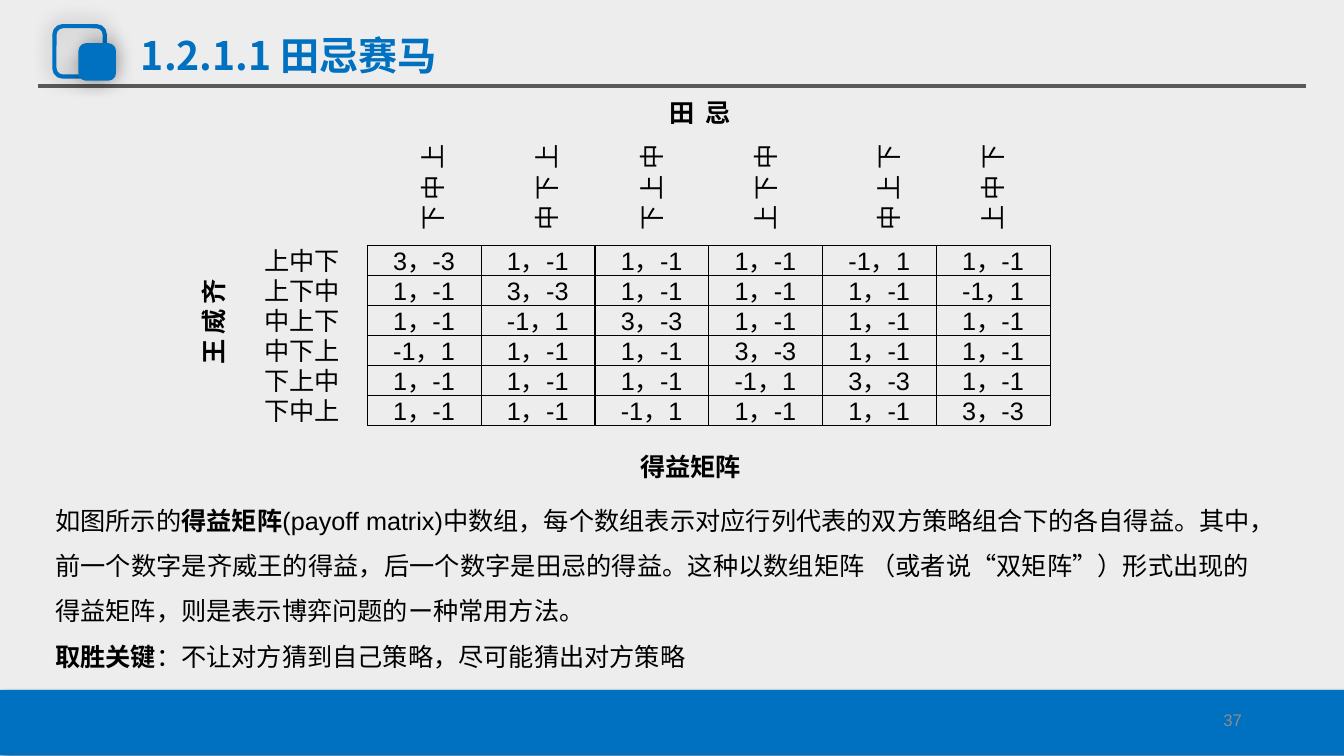
from dataclasses import dataclass
from typing import Optional

from lxml import etree
from pptx import Presentation
from pptx.dml.color import RGBColor
from pptx.enum.shapes import MSO_CONNECTOR, MSO_SHAPE
from pptx.enum.text import MSO_ANCHOR, MSO_AUTO_SIZE, PP_ALIGN
from pptx.oxml.ns import qn
from pptx.util import Inches, Pt

RECT, ROUND = MSO_SHAPE.RECTANGLE, MSO_SHAPE.ROUNDED_RECTANGLE
STRAIGHT = MSO_CONNECTOR.STRAIGHT
TOP, MIDDLE = MSO_ANCHOR.TOP, MSO_ANCHOR.MIDDLE
LEFT, CENTER, RIGHT, JUSTIFY = PP_ALIGN.LEFT, PP_ALIGN.CENTER, PP_ALIGN.RIGHT, PP_ALIGN.JUSTIFY
FIT_SHAPE = MSO_AUTO_SIZE.SHAPE_TO_FIT_TEXT

BLUE = RGBColor(0x00, 0x70, 0xC0)
BLACK = RGBColor(0x00, 0x00, 0x00)
PALE = RGBColor(0xD9, 0xD9, 0xD9)
RULE = RGBColor(0x59, 0x59, 0x59)
MUTED = RGBColor(0x8C, 0x8C, 0x8C)
LATIN, CJK = "Arial", "Noto Sans CJK SC"

COL = ROW = Inches(0.1)
COLS, ROWS = 133.33, 75
CELL_W, CELL_H = 11.29, 2.98
MATRIX_X, MATRIX_Y = 36.42, 24.3


@dataclass
class Box:
    x: float
    y: float
    w: float
    h: float

    def emu(self) -> tuple[int, int, int, int]:
        return int(self.x * COL), int(self.y * ROW), int(self.w * COL), int(self.h * ROW)


@dataclass
class Shadow:
    blur: float
    dist: float
    angle: int


@dataclass
class Panel:
    box: Box
    kind: int
    fill: Optional[RGBColor] = None
    line: Optional[RGBColor] = None
    width: float = 3
    alpha: int = 100
    shadow: Optional[Shadow] = None


@dataclass
class Run:
    text: str
    bold: bool = False


@dataclass
class Para:
    runs: list[Run]
    align: int = CENTER
    spacing: Optional[float] = None


@dataclass
class Label:
    box: Box
    paras: list[Para]
    size: int = 18
    color: RGBColor = BLACK
    font: str = LATIN
    wrap: bool = False
    anchor: int = MIDDLE
    turned: bool = False


@dataclass
class Strategy:
    name: str
    header_x: float
    losing_column: int


GLOW = Shadow(15, 0, 0)
PANELS = [
    Panel(Box(0, 0, COLS, ROWS), RECT, PALE, alpha=46),
    Panel(Box(5.4, 2.6, 5, 5), ROUND, line=BLUE, shadow=GLOW),
    Panel(Box(8, 4.5, 3.3, 3.3), ROUND, BLUE, BLUE, shadow=GLOW),
    Panel(Box(0, 68.45, COLS, 6.5), RECT, BLUE, shadow=Shadow(4, 3, 45)),
]
STRATEGIES = [
    Strategy("上中下", 37.6, 4),
    Strategy("上下中", 48.9, 5),
    Strategy("中上下", 59.3, 1),
    Strategy("中下上", 70.6, 0),
    Strategy("下上中", 82.8, 3),
    Strategy("下中上", 93.2, 2),
]
BODY = [
    Para([
        Run("如图所示的"),
        Run("得益矩阵", True),
        Run("(payoff matrix)中数组，每个数组表示对应行列代表的双方策略组合下的各自得益。"
            "其中，前一个数字是齐威王的得益，后一个数字是田忌的得益。"
            "这种以数组矩阵 （或者说“双矩阵”）形式出现的得益矩阵，则是表示博弈问题的ー种常用方法。"),
    ], JUSTIFY, 1.5),
    Para([Run("取胜关键", True), Run("：不让对方猜到自己策略，尽可能猜出对方策略")], LEFT, 1.5),
]


def stacked(text: str, bold: bool = False) -> list[Para]:
    return [Para([Run(char, bold)]) for char in text]


LABELS = [
    Label(Box(94.2, 69.4, 30, 4), [Para([Run("37")], RIGHT)], 12, MUTED, wrap=True),
    Label(Box(57.3, 9.35, 24.3, 3.7), [Para([Run("田  忌", True)])]),
    Label(Box(10.6, 29.9, 21, 4.3), stacked("齐威王", True), turned=True),
    Label(Box(53.75, 44.4, 29.5, 3.7), [Para([Run("得益矩阵", True)])]),
    Label(Box(4.5, 48.1, 120.5, 19.2), BODY, wrap=True, anchor=TOP),
    Label(Box(13, 3.2, 51.8, 5), [Para([Run("1.2.1.1 田忌赛马", True)], LEFT, 0.9)],
          28, BLUE, CJK, True),
]
for i, strategy in enumerate(STRATEGIES):
    LABELS.append(Label(Box(24.3, MATRIX_Y + i * CELL_H, CELL_W, CELL_H),
                        [Para([Run(strategy.name)])]))
    LABELS.append(Label(Box(strategy.header_x, 16.95, 9.7, 3.5), stacked(strategy.name),
                        turned=True))


def add_shadow(sp, shadow: Shadow) -> None:
    effects = sp._element.spPr.find(qn("a:effectLst"))
    outer = etree.SubElement(effects, qn("a:outerShdw"), blurRad=str(Pt(shadow.blur)),
                             dist=str(Pt(shadow.dist)), dir=str(shadow.angle * 60000))
    color = etree.SubElement(outer, qn("a:srgbClr"), val=str(BLACK))
    etree.SubElement(color, qn("a:alpha"), val="40000")


def add_panel(s, panel: Panel):
    sp = s.shapes.add_shape(panel.kind, *panel.box.emu())
    sp.shadow.inherit = False
    if panel.fill is None:
        sp.fill.background()
    else:
        sp.fill.solid()
        sp.fill.fore_color.rgb = panel.fill
        if panel.alpha < 100:
            color = sp._element.spPr.find(qn("a:solidFill"))[0]
            etree.SubElement(color, qn("a:alpha"), val=str(panel.alpha * 1000))
    if panel.line is None:
        sp.line.fill.background()
    else:
        sp.line.color.rgb = panel.line
        sp.line.width = Pt(panel.width)
    if panel.shadow:
        add_shadow(sp, panel.shadow)
    return sp


def add_run(p, run: Run, size: int, color: RGBColor, font: str) -> None:
    r = p.add_run()
    r.text = run.text
    r.font.size, r.font.bold, r.font.name = Pt(size), run.bold, font
    r.font.color.rgb = color
    etree.SubElement(r._r.get_or_add_rPr(), qn("a:ea"), typeface=CJK)


def write_label(sp, label: Label) -> None:
    tf = sp.text_frame
    tf.word_wrap, tf.vertical_anchor = label.wrap, label.anchor
    if label.anchor == TOP:
        tf.auto_size = FIT_SHAPE
    if label.turned:
        sp.rotation = 90
        body = tf._txBody.bodyPr
        body.set("vert", "eaVert")
        body.set("rot", str(180 * 60000))
    for i, para in enumerate(label.paras):
        p = tf.add_paragraph() if i else tf.paragraphs[0]
        p.alignment, p.line_spacing = para.align, para.spacing
        for run in para.runs:
            add_run(p, run, label.size, label.color, label.font)


def add_matrix(s) -> None:
    for i, strategy in enumerate(STRATEGIES):
        for j in range(len(STRATEGIES)):
            box = Box(MATRIX_X + j * CELL_W, MATRIX_Y + i * CELL_H, CELL_W, CELL_H)
            payoff = "3，-3" if i == j else "-1，1" if j == strategy.losing_column else "1，-1"
            sp = add_panel(s, Panel(box, RECT, line=BLACK, width=0.25))
            write_label(sp, Label(box, [Para([Run(payoff)])]))


def add_rule(s) -> None:
    x, y, w, h = Box(3.75, 8.55, 125.85, 0).emu()
    line = s.shapes.add_connector(STRAIGHT, x, y, x + w, y + h)
    line.line.color.rgb, line.line.width = RULE, Pt(3)
    etree.SubElement(line._element.spPr, qn("a:effectLst"))


def main() -> None:
    prs = Presentation()
    prs.slide_width, prs.slide_height = int(COLS * COL), ROWS * ROW
    s = prs.slides.add_slide(prs.slide_layouts[6])
    add_panel(s, PANELS[0])
    add_rule(s)
    for panel in PANELS[1:]:
        add_panel(s, panel)
    add_matrix(s)
    for label in LABELS:
        write_label(s.shapes.add_textbox(*label.box.emu()), label)
    prs.save("out.pptx")


if __name__ == "__main__":
    main()
